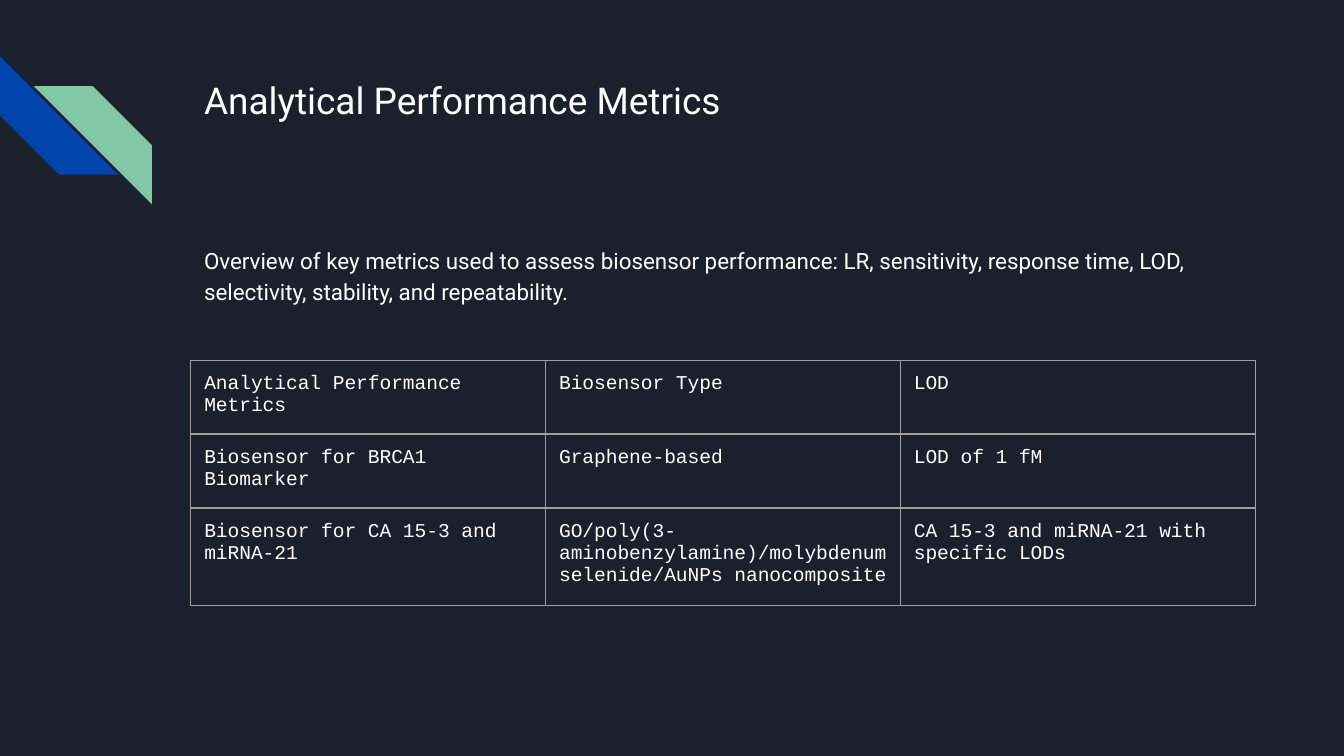
from lxml import etree
from pptx import Presentation
from pptx import util as u
from pptx.dml.color import RGBColor
from pptx.enum import shapes, text
from pptx.oxml import ns

BACKGROUND = RGBColor(0x1B, 0x21, 0x2C)
BLUE = RGBColor(0x01, 0x45, 0xAC)
GREEN = RGBColor(0x82, 0xC7, 0xA5)
WHITE = RGBColor(0xFF, 0xFF, 0xFF)
BORDER = RGBColor(0x9E, 0x9E, 0x9E)

LEFT = 1.42
MARGIN = u.Inches(0.1)
TABLE_FRAME = u.Inches(3.28)
COLUMN_WIDTH = 2.64
ROW_HEIGHT = 0.42
STRIPE_SIZE = 0.88

TITLE = "Analytical Performance Metrics"
OVERVIEW = (
    "Overview of key metrics used to assess biosensor performance: LR, sensitivity, "
    "response time, LOD, selectivity, stability, and repeatability."
)
METRICS = [
    ["Analytical Performance Metrics", "Biosensor Type", "LOD"],
    ["Biosensor for BRCA1 Biomarker", "Graphene-based", "LOD of 1 fM"],
    [
        "Biosensor for CA 15-3 and miRNA-21",
        "GO/poly(3-aminobenzylamine)/molybdenum selenide/AuNPs nanocomposite",
        "CA 15-3 and miRNA-21 with specific LODs",
    ],
]


def write_text(frame, content, *, size, font="Roboto", color=WHITE, spacing=None):
    frame.word_wrap = True
    paragraph = frame.paragraphs[0]
    paragraph.line_spacing = spacing
    run = paragraph.add_run()
    run.text = content
    run.font.name = font
    run.font.size = u.Pt(size)
    run.font.color.rgb = color


def set_margins(holder):
    for side in ("left", "top", "right", "bottom"):
        setattr(holder, f"margin_{side}", MARGIN)


def add_text_box(slide, top, height, content, size):
    box = slide.shapes.add_textbox(
        u.Inches(LEFT), u.Inches(top), u.Inches(7.7), u.Inches(height)
    )
    frame = box.text_frame
    set_margins(frame)
    frame.vertical_anchor = text.MSO_ANCHOR.TOP
    write_text(frame, content, size=size, spacing=1.15)


def add_stripe(slide, left, top, rotation, color):
    stripe = slide.shapes.add_shape(
        shapes.MSO_SHAPE.DIAGONAL_STRIPE,
        u.Inches(left), u.Inches(top), u.Inches(STRIPE_SIZE), u.Inches(STRIPE_SIZE),
    )
    stripe.adjustments[0] = 0.5
    stripe.rotation = rotation
    stripe.shadow.inherit = False
    stripe.fill.solid()
    stripe.fill.fore_color.rgb = color
    stripe.line.fill.background()


def set_borders(cell):
    properties = cell._tc.get_or_add_tcPr()
    for position, tag in enumerate(("a:lnL", "a:lnR", "a:lnT", "a:lnB")):
        line = etree.Element(ns.qn(tag), w=str(u.Pt(0.75)))
        fill = etree.SubElement(line, ns.qn("a:solidFill"))
        etree.SubElement(fill, ns.qn("a:srgbClr"), val=str(BORDER))
        properties.insert(position, line)


def add_metrics_table(slide, top, rows):
    table_shape = slide.shapes.add_table(
        len(rows), len(rows[0]), u.Inches(LEFT), u.Inches(top), TABLE_FRAME, TABLE_FRAME
    )
    table = table_shape.table
    table.first_row = False
    table.horz_banding = False
    for column in table.columns:
        column.width = u.Inches(COLUMN_WIDTH)
    for row, contents in zip(table.rows, rows):
        row.height = u.Inches(ROW_HEIGHT)
        for cell, content in zip(row.cells, contents):
            set_margins(cell)
            cell.fill.background()
            set_borders(cell)
            write_text(cell.text_frame, content, size=10.5, font="Courier New")
    # Setting columns and rows resizes the frame; rows then grow to fit their text
    table_shape.width = table_shape.height = TABLE_FRAME


def main():
    presentation = Presentation()
    presentation.slide_width = u.Inches(10)
    presentation.slide_height = presentation.slide_width * 9 // 16
    slide = presentation.slides.add_slide(presentation.slide_layouts[6])
    slide.background.fill.solid()
    slide.background.fill.fore_color.rgb = BACKGROUND

    # Corner decoration
    add_stripe(slide, 0, 0.42, 270, BLUE)
    add_stripe(slide, 0.25, 0.64, 90, GREEN)

    # Title and overview
    add_text_box(slide, 0.43, 1, TITLE, 19.8)
    add_text_box(slide, 1.71, 3.18, OVERVIEW, 12)

    # Metrics by biosensor
    add_metrics_table(slide, 2.68, METRICS)

    presentation.save("out.pptx")


if __name__ == "__main__":
    main()
